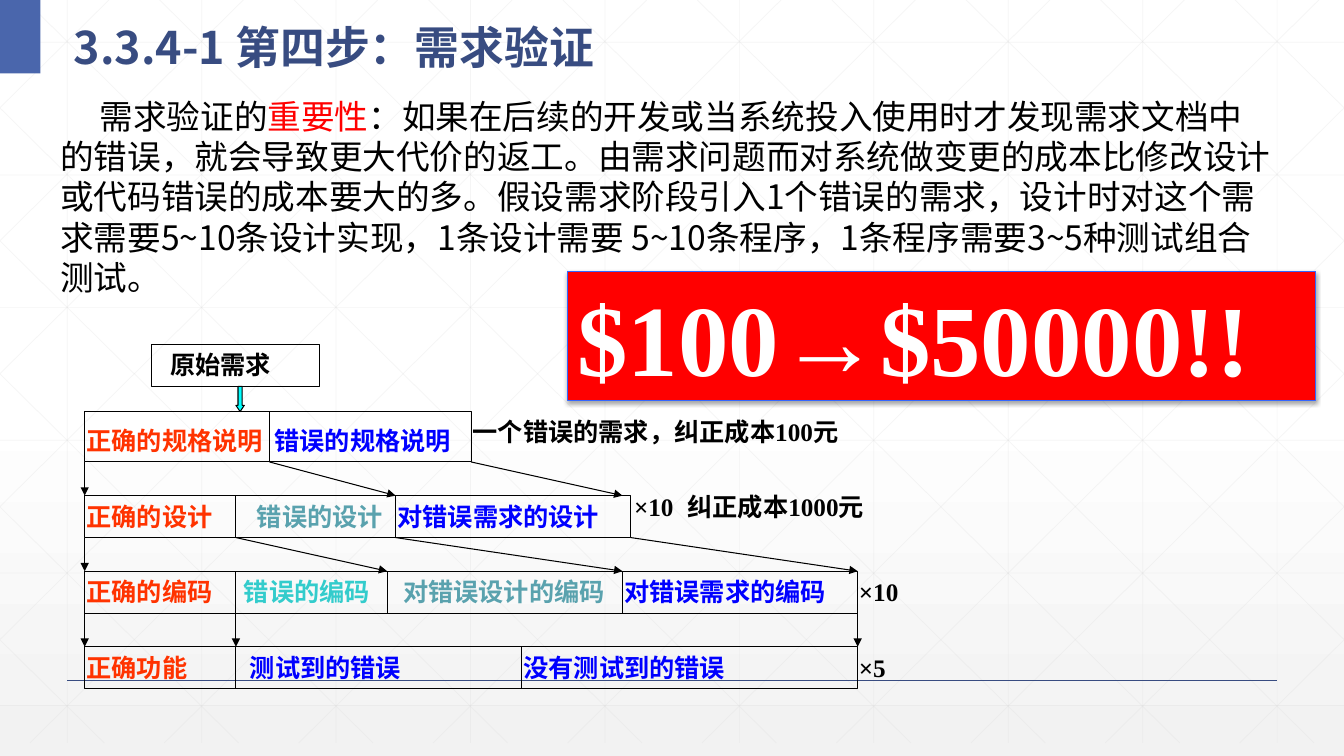
from lxml.etree import SubElement
from pptx import Presentation
from pptx.dml.color import RGBColor
from pptx.enum.shapes import MSO_CONNECTOR, MSO_SHAPE
from pptx.enum.text import MSO_ANCHOR, PP_ALIGN
from pptx.oxml.ns import qn
from pptx.util import Inches, Pt

W, H = 13.33, 7.5
SANS, SERIF = "Noto Sans CJK SC", "Times New Roman"
COLORS = {"grid": "D9D9D9", "navy": "384C81", "accent": "4A66AC", "black": "000000",
          "white": "FFFFFF", "pale": "F2F2F2", "red": "FF0000", "orange": "FF3300",
          "blue": "0000FF", "teal": "5AA2AE", "turquoise": "33CCCC", "cyan": "00FFFF",
          "edge": "3366FF"}
RGB = {name: RGBColor.from_string(value) for name, value in COLORS.items()}

prs = Presentation()
prs.slide_width, prs.slide_height = Inches(W), Inches(H)
s = prs.slides.add_slide(prs.slide_layouts[5])


def add_line(x1, y1, x2, y2, color="black", width=0.75, arrow=False, alpha=None):
    c = s.shapes.add_connector(MSO_CONNECTOR.STRAIGHT, *map(Inches, (x1, y1, x2, y2)))
    c.line.color.rgb, c.line.width = RGB[color], Pt(width)
    ln = c.line._get_or_add_ln()
    if alpha:
        SubElement(ln.find(".//" + qn("a:srgbClr")), qn("a:alpha"), val=str(alpha * 1000))
    if arrow:
        SubElement(ln, qn("a:tailEnd"), type="triangle")
    SubElement(c._element.spPr, qn("a:effectLst"))


def add_text(x, y, w, h, runs, size=18, font=SERIF, bold=True, indent=0):
    """Add a one-paragraph box; runs are (text, color) pairs."""
    tf = s.shapes.add_textbox(*map(Inches, (x, y, w, h))).text_frame
    tf.word_wrap = True
    p = tf.paragraphs[0]
    p.line_spacing = Pt(size * 1.2)
    p._p.get_or_add_pPr().set("indent", str(Inches(indent)))
    for text, color in runs:
        r = p.add_run()
        r.text = text
        r.font.size, r.font.bold = Pt(size), bold
        r.font.color.rgb, r.font.name = RGB[color], font
        SubElement(r._r.get_or_add_rPr(), qn("a:ea"), typeface=SANS)


# Background: gradient and a faint lattice
fill = s.background.fill
fill.gradient()
fill.gradient_angle = 270
for stop, position, color in zip(fill.gradient_stops, (0.53, 1), ("white", "pale")):
    stop.position, stop.color.rgb = position, RGB[color]

STEP, BOTTOM, RUN = 4 / 3, 7.37, 7.45
lattice = [(STEP * (i + 0.5), 0, STEP * (i + 0.5), BOTTOM) for i in range(10)]
lattice += [(0, 0.42 + 1.316 * i, W, 0.42 + 1.316 * i) for i in range(6)]
for i in range(-5, 10):
    start = 0.25 + STEP * i
    x1, x2 = max(start, 0), min(start + RUN, W)
    y1, y2 = [(x - start) * BOTTOM / RUN for x in (x1, x2)]
    lattice += [(x1, y1, x2, y2), (W - x1, y1, W - x2, y2)]
for ends in lattice:
    add_line(*ends, color="grid", width=0.5, alpha=25)

add_line(0.05 * W, 0.9 * H, 0.95 * W, 0.9 * H, color="navy", width=1)
corner = s.shapes.add_shape(MSO_SHAPE.RECTANGLE, 0, 0, Inches(0.4), Inches(0.73))
corner.shadow.inherit = False
corner.fill.solid()
corner.fill.fore_color.rgb = RGB["accent"]
corner.line.fill.background()

# Title
title = s.shapes.title
s.shapes._spTree.append(title._element)
title.left, title.top, title.width, title.height = map(Inches, (0.63, 0.02, 6.23, 0.73))
tf = title.text_frame
tf.vertical_anchor = MSO_ANCHOR.MIDDLE
p = tf.paragraphs[0]
p.alignment, p.line_spacing = PP_ALIGN.LEFT, 1.3
r = p.add_run()
r.text = "3.3.4-1 第四步：需求验证"
r.font.size, r.font.bold = Pt(32), True
r.font.color.rgb, r.font.name = RGB["navy"], SANS
SubElement(r._r.get_or_add_rPr(), qn("a:ea"), typeface=SANS)

# Explanation
add_text(0.5, 0.9, 12.23, 1.87, [
    ("需求验证的", "black"), ("重要性", "red"),
    ("：如果在后续的开发或当系统投入使用时才发现需求文档中的错误，就会导致更大代价的返工。"
     "由需求问题而对系统做变更的成本比修改设计或代码错误的成本要大的多。"
     "假设需求阶段引入1个错误的需求，设计时对这个需求需要5~10条设计实现，"
     "1条设计需要 5~10条程序，1条程序需要3~5种测试组合测试。", "black"),
], size=24, font=SANS, bold=False, indent=0.39)

# Error growth diagram on a grid of twelfths of an inch, columns counted from LEFT
U, LEFT = 1 / 12, 0.84
INSET, CHAR = 0.1, 0.25  # text box margin and width of one 18 pt character
# top row, bottom row, right column, text top, cells: (left column, gap, label, color)
stages = [
    (49, 55, 46, 4.17, [(0, 0.02, "正确的规格说明", "orange"),
                        (22, 0.05, "错误的规格说明", "blue")]),
    (59, 64, 65, 4.92, [(0, 0.02, "正确的设计", "orange"),
                        (18, 0.21, "错误的设计", "teal"),
                        (37, 0.02, "对错误需求的设计", "blue")]),
    (68, 73, 92, 5.67, [(0, 0.02, "正确的编码", "orange"),
                        (18, 0.08, "错误的编码", "turquoise"),
                        (36, 0.16, "对错误设计的编码", "teal"),
                        (64, 0.02, "对错误需求的编码", "blue")]),
    (77, 82, 92, 6.42, [(0, 0.02, "正确功能", "orange"),
                        (18, 0.14, "测试到的错误", "blue"),
                        (52, 0.02, "没有测试到的错误", "blue")]),
]
boxes = [(MSO_SHAPE.RECTANGLE, 8, 41, 20, 5), (MSO_SHAPE.DOWN_ARROW, 18, 46, 1, 3)]
boxes += [(MSO_SHAPE.RECTANGLE, 0, top, right, bottom - top)
          for top, bottom, right, *_ in stages]
for kind, col, row, cols, rows in boxes:
    box = s.shapes.add_shape(kind, Inches(LEFT + col * U), Inches(row * U),
                             Inches(cols * U), Inches(rows * U))
    box.shadow.inherit = False
    box.line.color.rgb, box.line.width = RGB["black"], Pt(0.75)
    if kind == MSO_SHAPE.DOWN_ARROW:
        box.adjustments[1] = 0.75
        box.fill.solid()
        box.fill.fore_color.rgb = RGB["cyan"]
    else:
        box.fill.background()

for top, bottom, right, y, cells in stages:
    for col, gap, label, color in cells:
        x = LEFT + col * U
        if col:
            add_line(x, top * U, x, bottom * U)
        add_text(x + gap - INSET, y, len(label) * CHAR + 3 * INSET, 0.4, [(label, color)])

# Arrows between neighbouring stages: (from column, to column)
links = [[(0, 0), (22, 37), (46, 64)],
         [(0, 0), (18, 36), (37, 64), (65, 92)],
         [(0, 0), (18, 18), (92, 92)]]
for upper, lower, pairs in zip(stages, stages[1:], links):
    for start, end in pairs:
        add_line(LEFT + start * U, upper[1] * U, LEFT + end * U, lower[0] * U, arrow=True)

notes = [(1.59, 3.42, 1.67, "原始需求"), (4.59, 4.08, 4.58, "一个错误的需求，纠正成本100元"),
         (6.19, 4.83, 0.7, "×10"), (6.72, 4.83, 2.45, "纠正成本1000元"),
         (8.42, 5.67, 0.92, "×10"), (8.42, 6.42, 0.75, "×5")]
for x, y, w, text in notes:
    add_text(x, y, w, 0.4, [(text, "black")])

# Cost banner
banner = s.shapes.add_shape(MSO_SHAPE.RECTANGLE, *map(Inches, (5.63, 2.69, 7.42, 1.28)))
banner.shadow.inherit = False
banner.fill.solid()
banner.fill.fore_color.rgb = RGB["red"]
banner.line.color.rgb, banner.line.width = RGB["edge"], Pt(0.75)
shadow = SubElement(banner._element.spPr.find(qn("a:effectLst")), qn("a:outerShdw"),
                    blurRad=str(Pt(3.1)), dist=str(Pt(1.8)), dir="5400000")
shade = SubElement(shadow, qn("a:srgbClr"), val=COLORS["black"])
SubElement(shade, qn("a:alpha"), val="35000")
tf = banner.text_frame
tf.word_wrap, tf.vertical_anchor = True, MSO_ANCHOR.TOP
p = tf.paragraphs[0]
p.alignment = PP_ALIGN.LEFT
r = p.add_run()
r.text = "$100→$50000!!"
r.font.size, r.font.bold = Pt(72), True
r.font.color.rgb, r.font.name = RGB["white"], SERIF

prs.save("out.pptx")
